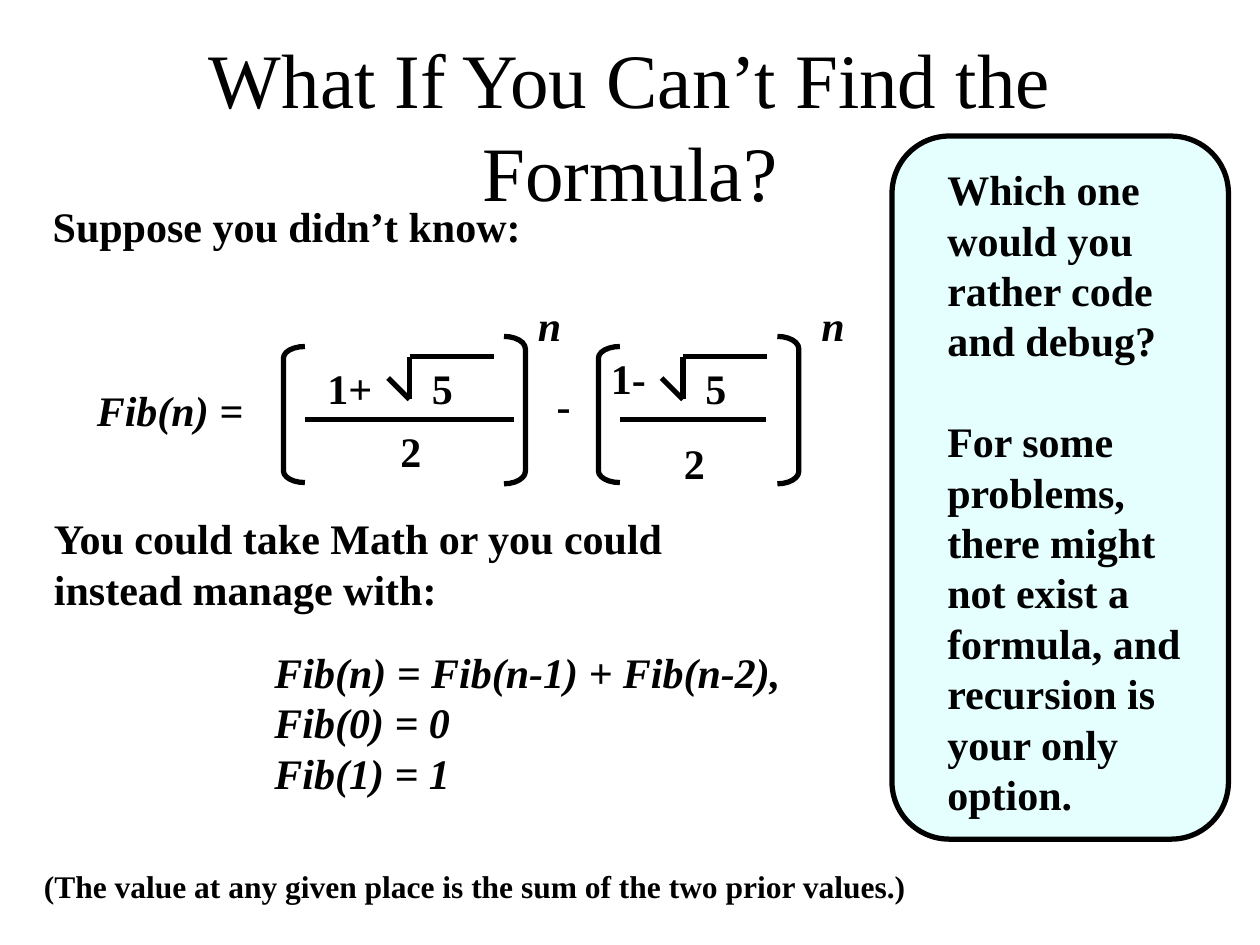
from lxml.etree import SubElement
from pptx import Presentation
from pptx.dml.color import RGBColor
from pptx.enum.shapes import MSO_CONNECTOR, MSO_SHAPE
from pptx.enum.text import MSO_ANCHOR, MSO_AUTO_SIZE, PP_ALIGN
from pptx.oxml.ns import qn
from pptx.util import Inches, Pt

BLACK = RGBColor(0x00, 0x00, 0x00)
PALE_CYAN = RGBColor(0xCC, 0xFF, 0xFF)
FONT = "Times New Roman"


def add_text(shapes, lines, left, top, width, height, size=24, italic=False, wrap=False):
    box = shapes.add_textbox(Inches(left), Inches(top), Inches(width), Inches(height))
    frame = box.text_frame
    frame.word_wrap = wrap
    frame.auto_size = MSO_AUTO_SIZE.SHAPE_TO_FIT_TEXT
    frame.text = "\n".join(lines)
    for para in frame.paragraphs:
        para.font.name = FONT
        para.font.size = Pt(size)
        para.font.bold = True
        para.font.italic = italic
        para.font.color.rgb = BLACK
    return box


def add_outline(shapes, kind, left, top, width, height, adjustment):
    shape = shapes.add_shape(kind, Inches(left), Inches(top), Inches(width), Inches(height))
    shape.adjustments[0] = adjustment
    shape.shadow.inherit = False
    shape.fill.background()
    shape.line.color.rgb = BLACK
    shape.line.width = Pt(3)
    return shape


deck = Presentation()
deck.slide_width = Inches(10)
deck.slide_height = Inches(7.5)
page = deck.slides.add_slide(deck.slide_layouts[5])

title = page.shapes.title
title.left, title.top = Inches(0.75), Inches(0.36)
title.width, title.height = Inches(8.5), Inches(1.25)
title.text_frame.text = "What If You Can’t Find the Formula?"
title.text_frame.word_wrap = True
title.text_frame.auto_size = MSO_AUTO_SIZE.NONE
title.text_frame.vertical_anchor = MSO_ANCHOR.MIDDLE
heading = title.text_frame.paragraphs[0]
heading.alignment = PP_ALIGN.CENTER
heading.font.name = FONT
heading.font.size = Pt(44)
heading.font.color.rgb = BLACK

add_text(page.shapes, ["Suppose you didn’t know:"], 0.32, 1.54, 4.34, 0.5)

formula = page.shapes.add_group_shape().shapes
for symbol, left, top, width, italic in [
    ("Fib(n) =", 0.67, 3, 1.41, True),
    ("1+", 2.5, 2.83, 0.58, False),
    ("5", 3.33, 2.83, 0.39, False),
    ("2", 3.08, 3.33, 0.39, False),
    ("n", 4.17, 2.33, 0.4, True),
    ("-", 4.32, 2.96, 0.31, False),
    ("1-", 4.75, 2.75, 0.5, False),
    ("5", 5.5, 2.83, 0.39, False),
    ("2", 5.33, 3.42, 0.39, False),
    ("n", 6.42, 2.33, 0.4, True),
]:
    add_text(formula, [symbol], left, top, width, 0.5, italic=italic)

strokes = [(2.42, 3.33, 4.08, 3.33), (2.67, 3.33, 3.92, 3.33), (4.92, 3.33, 6.08, 3.33)]
for root in (3.25, 5.42):
    strokes += [
        (root, 2.83, root + 0.67, 2.83),
        (root, 2.83, root, 3.17),
        (root, 3.17, root - 0.17, 3),
    ]
for stroke in strokes:
    line = formula.add_connector(MSO_CONNECTOR.STRAIGHT, *[Inches(value) for value in stroke])
    line.line.color.rgb = BLACK
    line.line.width = Pt(3)
    SubElement(line._element.spPr, qn("a:effectLst"))

for left in (2.25, 4.75):
    add_outline(formula, MSO_SHAPE.LEFT_BRACKET, left, 2.75, 0.17, 1.08, 0.54)
for left in (4, 6.17):
    add_outline(formula, MSO_SHAPE.RIGHT_BRACKET, left, 2.67, 0.17, 1.17, 0.58)

add_text(page.shapes, ["You could take Math or you could", "instead manage with:"],
         0.33, 4.02, 5.16, 0.91)
add_text(page.shapes, ["Fib(n) = Fib(n-1) + Fib(n-2),", "Fib(0) = 0", "Fib(1) = 1"],
         2.08, 5.08, 4.26, 1.31, italic=True)
add_text(page.shapes, ["(The value at any given place is the sum of the two prior values.)"],
         0.25, 6.83, 8.27, 0.4, size=18, wrap=True)

panel = add_outline(page.shapes, MSO_SHAPE.ROUNDED_RECTANGLE, 7.08, 1.08, 2.67, 5.58, 0.17)
panel.fill.solid()
panel.fill.fore_color.rgb = PALE_CYAN
tint = panel._element.spPr.find(qn("a:solidFill")).find(qn("a:srgbClr"))
SubElement(tint, qn("a:alpha"), val="50000")

question = ["Which one", "would you", "rather code", "and debug?"]
answer = ["For some", "problems,", "there might", "not exist a", "formula, and",
          "recursion is", "your only", "option."]
advice = add_text(page.shapes, question + answer, 7.42, 1.25, 2.07, 5.35)
advice.text_frame.paragraphs[len(question)].space_before = Pt(28.8)

deck.save("out.pptx")
